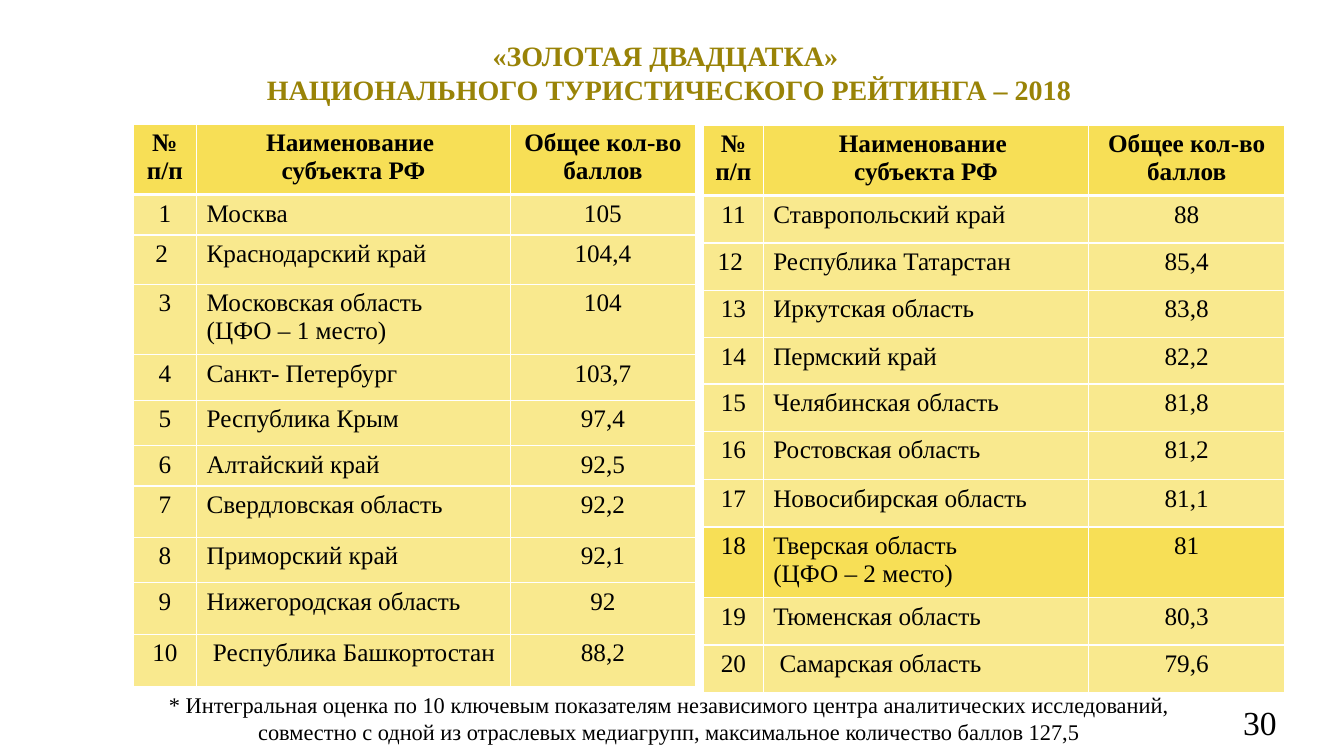
from dataclasses import dataclass

from lxml import etree
from pptx import Presentation
from pptx.dml.color import RGBColor
from pptx.enum.text import MSO_ANCHOR, MSO_AUTO_SIZE, PP_ALIGN
from pptx.oxml.ns import qn
from pptx.util import Inches, Pt

LEFT, CENTER, RIGHT = PP_ALIGN.LEFT, PP_ALIGN.CENTER, PP_ALIGN.RIGHT
TOP, MIDDLE = MSO_ANCHOR.TOP, MSO_ANCHOR.MIDDLE
NO_FIT = MSO_AUTO_SIZE.NONE
TITLE_ONLY = 5


@dataclass(frozen=True)
class Theme:
    font: str = "Times New Roman"
    gold: str = "998307"
    text: str = "000000"
    accent: str = "F7DF56"
    row: str = "F9E98E"
    border: str = "FFFFFF"
    title_size: int = 20
    cell_size: int = 18
    note_size: int = 16
    number_size: int = 24
    thin: float = 1
    thick: float = 3


THEME = Theme()

TITLE = ["«ЗОЛОТАЯ ДВАДЦАТКА» ",
         "НАЦИОНАЛЬНОГО ТУРИСТИЧЕСКОГО РЕЙТИНГА – 2018"]
NOTE = ("* Интегральная оценка по 10 ключевым показателям независимого центра "
        "аналитических исследований, совместно с одной из отраслевых медиагрупп, "
        "максимальное количество баллов 127,5")
HEADER = ("№\nп/п", "Наименование \nсубъекта РФ", "Общее кол-во баллов")

# Each row: place, region, score, row height
PLACES_1_10 = [
    ("1", "Москва", "105", 0.4),
    ("2 ", "Краснодарский край", "104,4", 0.49),
    ("3", "Московская область\n(ЦФО – 1 место)", "104", 0.7),
    ("4", "Санкт- Петербург", "103,7", 0.45),
    ("5", "Республика Крым", "97,4", 0.45),
    ("6", "Алтайский край", "92,5", 0.4),
    ("7", "Свердловская область", "92,2", 0.51),
    ("8", "Приморский край", "92,1", 0.45),
    ("9", "Нижегородская область", "92", 0.51),
    ("10", " Республика Башкортостан", "88,2", 0.52),
]
PLACES_11_20 = [
    ("11", "Ставропольский край", "88", 0.47),
    ("12 ", "Республика Татарстан", "85,4", 0.47),
    ("13", "Иркутская область", "83,8", 0.47),
    ("14", "Пермский край", "82,2", 0.46),
    ("15", "Челябинская область", "81,8", 0.47),
    ("16", "Ростовская область", "81,2", 0.48),
    ("17", "Новосибирская область", "81,1", 0.47),
    ("18", "Тверская область\n(ЦФО – 2 место)", "81", 0.7),
    ("19", "Тюменская область", "80,3", 0.47),
    ("20", " Самарская область", "79,6", 0.47),
]
HEADER_HEIGHT = 0.7
HIGHLIGHTED_PLACE = "18"


def write(tf, lines, size, color=THEME.text, bold=False, align=CENTER):
    style = {"name": THEME.font, "size": Pt(size), "bold": bold}
    for i, line in enumerate(lines):
        p = tf.paragraphs[0] if i == 0 else tf.add_paragraph()
        p.alignment = align
        r = p.add_run()
        r.text = line
        for key, value in style.items():
            setattr(r.font, key, value)
        r.font.color.rgb = RGBColor.from_string(color)


def set_borders(cell, widths):
    tc_pr = cell._tc.get_or_add_tcPr()
    for side, width in widths.items():
        ln = etree.SubElement(tc_pr, qn(f"a:ln{side}"), w=str(Pt(width)))
        fill = etree.SubElement(ln, qn("a:solidFill"))
        etree.SubElement(fill, qn("a:srgbClr"), val=THEME.border)


def add_title(slide, x, y, w, h):
    sp = slide.shapes.title
    sp.left, sp.top, sp.width, sp.height = map(Inches, (x, y, w, h))
    tf = sp.text_frame
    frame = {"word_wrap": True, "auto_size": NO_FIT, "vertical_anchor": MIDDLE}
    for key, value in frame.items():
        setattr(tf, key, value)
    write(tf, TITLE, THEME.title_size, THEME.gold, bold=True)


def add_text(slide, x, y, w, h, text, size, align):
    sp = slide.shapes.add_textbox(*map(Inches, (x, y, w, h)))
    tf = sp.text_frame
    tf.word_wrap = True
    write(tf, [text], size, align=align)


def add_rating(slide, x, y, col_widths, places):
    heights = [HEADER_HEIGHT] + [place[-1] for place in places]
    rows = [HEADER] + [place[:-1] for place in places]
    frame = slide.shapes.add_table(
        len(rows), len(col_widths), Inches(x), Inches(y),
        Inches(sum(col_widths)), Inches(sum(heights)))
    table = frame.table
    table.horz_banding = False
    for col, width in zip(table.columns, col_widths):
        col.width = Inches(width)
    for row, height in zip(table.rows, heights):
        row.height = Inches(height)

    for i, values in enumerate(rows):
        is_header = i == 0
        strong = is_header or values[0] == HIGHLIGHTED_PLACE
        borders = {"L": THEME.thin, "R": THEME.thin,
                   "T": THEME.thick if i == 1 else THEME.thin,
                   "B": THEME.thick if is_header else THEME.thin}
        for j, value in enumerate(values):
            cell = table.cell(i, j)
            set_borders(cell, borders)
            cell.fill.solid()
            cell.fill.fore_color.rgb = RGBColor.from_string(
                THEME.accent if strong else THEME.row)
            cell.vertical_anchor = TOP
            write(cell.text_frame, value.split("\n"), THEME.cell_size,
                  bold=is_header,
                  align=LEFT if j == 1 and not is_header else CENTER)


def build_rating_slide(prs):
    slide = prs.slides.add_slide(prs.slide_layouts[TITLE_ONLY])
    # Heading
    add_title(slide, 1.38, 0.32, 10.51, 0.8)
    # Page number
    add_text(slide, 9.65, 6.91, 3.11, 0.52, "30", THEME.number_size, RIGHT)
    # Two halves of the rating
    add_rating(slide, 1.32, 1.23, (0.63, 3.11, 1.84), PLACES_1_10)
    add_rating(slide, 6.98, 1.24, (0.59, 3.23, 1.94), PLACES_11_20)
    # Footnote
    add_text(slide, 1.38, 6.81, 10.51, 0.64, NOTE, THEME.note_size, CENTER)


def main():
    prs = Presentation()
    prs.slide_width, prs.slide_height = Inches(13.33), Inches(7.5)
    build_rating_slide(prs)
    prs.save("out.pptx")


if __name__ == "__main__":
    main()
